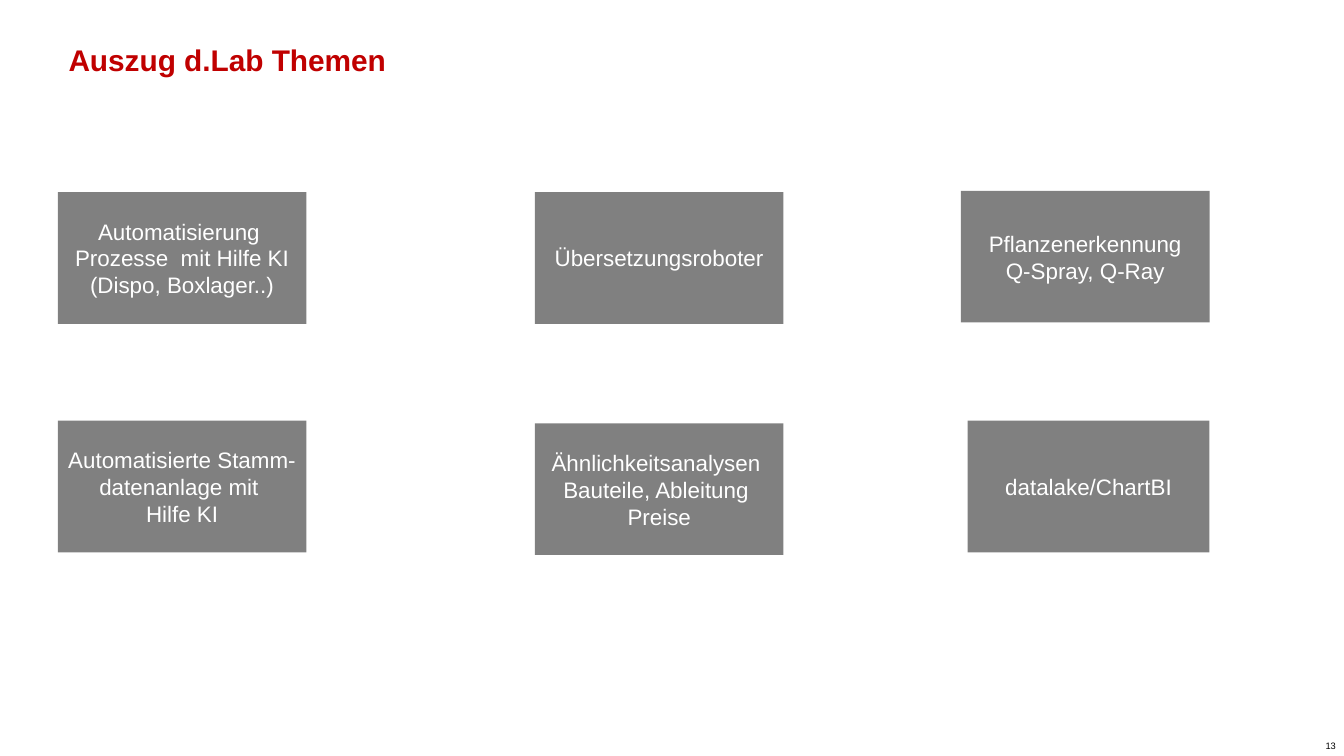
from pptx import Presentation
from pptx.dml.color import RGBColor
from pptx.enum.shapes import MSO_SHAPE
from pptx.enum.text import MSO_ANCHOR, PP_ALIGN
from pptx.util import Inches, Pt

RED = RGBColor(0xC0, 0x00, 0x00)
GRAY = RGBColor(0x80, 0x80, 0x80)
WHITE = RGBColor(0xFF, 0xFF, 0xFF)
BLACK = RGBColor(0x00, 0x00, 0x00)

TITLE = "Auszug d.Lab Themen"
PAGE_NUMBER = "13"
TOPICS = [
    [
        ["Automatisierung ", "Prozesse  mit Hilfe KI", "(Dispo, Boxlager..)"],
        ["Übersetzungsroboter"],
        ["Pflanzenerkennung", "Q-Spray, Q-Ray"],
    ],
    [
        ["Automatisierte Stamm-datenanlage mit ", "Hilfe KI"],
        ["Ähnlichkeitsanalysen ", "Bauteile, Ableitung ", "Preise"],
        ["datalake/ChartBI"],
    ],
]

SLIDE_WIDTH = Inches(10)
SLIDE_HEIGHT = SLIDE_WIDTH * 9 // 16
COLUMN_LEFTS = [0.43, 3.98, 7.15]
ROW_TOPS = [1.43, 3.13]
BOX_WIDTH, BOX_HEIGHT = 1.85, 0.98
# (row, column): inches cut from the left edge, inches moved down
ADJUSTMENTS = {(0, 2): (0, -0.01), (1, 1): (0, 0.02), (1, 2): (0.05, 0)}

TITLE_FONT = {"size": Pt(16), "bold": True}
TOPIC_FONT = {"size": Pt(12)}
NUMBER_FONT = {"size": Pt(5)}


def write_text(shape, lines, color, font, alignment, margins, anchor, spacing=1.0):
    frame = shape.text_frame
    frame.word_wrap = True
    frame.vertical_anchor = anchor
    horizontal, vertical = margins
    frame.margin_left = frame.margin_right = Inches(horizontal)
    frame.margin_top = frame.margin_bottom = Inches(vertical)
    frame.text = "\n".join(lines)
    for paragraph in frame.paragraphs:
        paragraph.alignment = alignment
        paragraph.line_spacing = spacing
        for run in paragraph.runs:
            run.font.name = "Arial"
            run.font.color.rgb = color
            for name, value in font.items():
                setattr(run.font, name, value)


def add_topic(slide, row, column, lines):
    cut, drop = ADJUSTMENTS.get((row, column), (0, 0))
    box = slide.shapes.add_shape(
        MSO_SHAPE.RECTANGLE,
        Inches(COLUMN_LEFTS[column] + cut), Inches(ROW_TOPS[row] + drop),
        Inches(BOX_WIDTH - cut), Inches(BOX_HEIGHT))
    box.shadow.inherit = False
    box.fill.solid()
    box.fill.fore_color.rgb = GRAY
    box.line.fill.background()
    write_text(box, lines, WHITE, TOPIC_FONT, PP_ALIGN.CENTER,
               (0.05, 0.05), MSO_ANCHOR.MIDDLE)


def main():
    presentation = Presentation()
    presentation.slide_width = SLIDE_WIDTH
    presentation.slide_height = SLIDE_HEIGHT
    slide = presentation.slides.add_slide(presentation.slide_layouts[6])

    number = slide.shapes.add_textbox(
        Inches(9.41), Inches(5.48), Inches(0.59), Inches(0.15))
    write_text(number, [PAGE_NUMBER], BLACK, NUMBER_FONT, PP_ALIGN.RIGHT,
               (0.06, 0.03), MSO_ANCHOR.TOP)

    title = slide.shapes.add_textbox(
        Inches(0.51), Inches(0.14), Inches(3.15), Inches(0.64))
    write_text(title, [TITLE], RED, TITLE_FONT, PP_ALIGN.LEFT,
               (0, 0), MSO_ANCHOR.MIDDLE, spacing=0.9)

    for row, topics in enumerate(TOPICS):
        for column, lines in enumerate(topics):
            add_topic(slide, row, column, lines)

    presentation.save("out.pptx")


if __name__ == "__main__":
    main()
